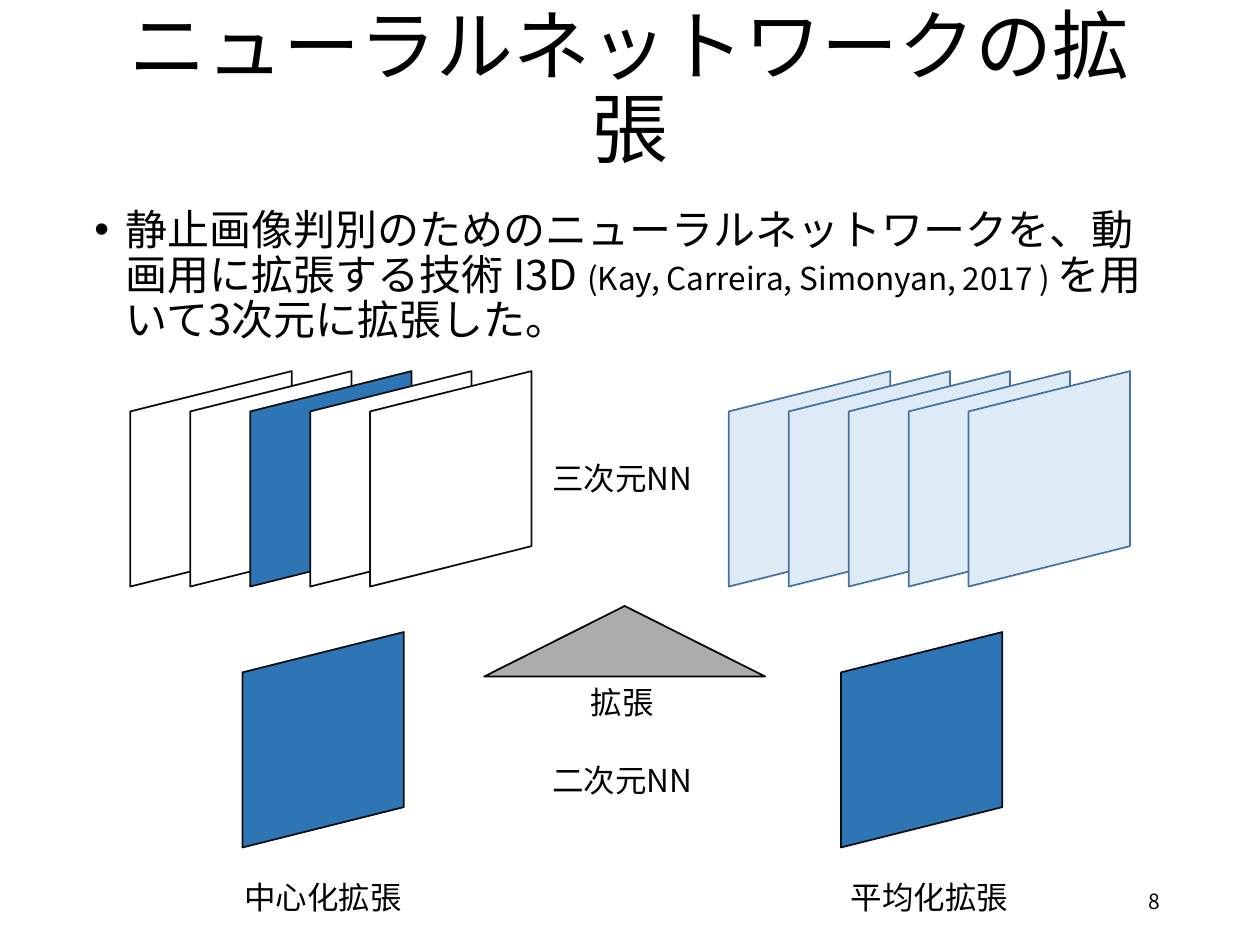
import pptx
import pptx.util
import pptx.dml.color
import pptx.enum.shapes
import pptx.enum.text
import pptx.oxml.ns
from lxml import etree

Pt = pptx.util.Pt
SHAPE = pptx.enum.shapes.MSO_SHAPE
ALIGN = pptx.enum.text.PP_ALIGN
ANCHOR = pptx.enum.text.MSO_ANCHOR
qn = pptx.oxml.ns.qn

FONT = "Noto Sans CJK JP"
COLORS = {"black": "000000", "ink": "0D0D0D", "white": "FFFFFF", "blue": "2E75B6",
          "pale": "DEEBF7", "pale_line": "43739E", "gray": "AFABAB"}

TITLE = "ニューラルネットワークの拡張"
BODY = [
    ("静止画像判別のためのニューラルネットワークを、動画用に拡張する技術 I3D ", 24),
    ("(Kay, Carreira, Simonyan, 2017 ) ", 18),
    ("を用いて3次元に拡張した。", 24),
]
# text, left, top, width
LABELS = [
    ("中心化拡張", 78.5, 498.2, 212.4),
    ("平均化拡張", 424.8, 498.2, 212.4),
    ("二次元NN", 299.5, 431.3, 112.3),
    ("三次元NN", 299.5, 258.5, 112.3),
    ("拡張", 299.5, 386.6, 112.3),
]
# left of the first frame, frame fills from back to front, frame line
STACKS = [
    (59, ["white", "white", "blue", "white", "white"], "ink"),
    (401, ["pale"] * 5, "pale_line"),
]
FRAME_W, FRAME_H = 123.1, 92.2
FRAME_STEP = 34.25
STACK_TOP, KERNEL_TOP = 227.5, 376.6
KERNEL_OFFSET = 64.1


def rgb(name):
    return pptx.dml.color.RGBColor.from_string(COLORS[name])


def place(sp, left, top, width, height):
    sp.left, sp.top, sp.width, sp.height = map(Pt, (left, top, width, height))


def write(sp, runs, align, anchor=ANCHOR.TOP):
    tf = sp.text_frame
    tf.word_wrap = True
    tf.auto_size = pptx.enum.text.MSO_AUTO_SIZE.NONE
    tf.vertical_anchor = anchor
    p = tf.paragraphs[0]
    p.alignment = align
    for text, size in runs:
        r = p.add_run()
        r.text = text
        r.font.size = Pt(size)
        r.font.name = FONT
        r.font.color.rgb = rgb("black")
        etree.SubElement(r.font._element, qn("a:ea"), typeface=FONT)
    return p


def add_text(slide, box, runs, align, anchor=ANCHOR.TOP):
    return write(slide.shapes.add_textbox(*map(Pt, box)), runs, align, anchor)


def add_bullet(p, indent):
    pPr = p._p.get_or_add_pPr()
    pPr.set("marL", str(Pt(indent)))
    pPr.set("indent", str(-Pt(indent)))
    etree.SubElement(pPr, qn("a:buFont"), typeface="Arial")
    etree.SubElement(pPr, qn("a:buChar"), char="•")


def add_shape(slide, kind, box, fill, line):
    sp = slide.shapes.add_shape(kind, *map(Pt, box))
    sp.shadow.inherit = False
    sp.fill.solid()
    sp.fill.fore_color.rgb = rgb(fill)
    sp.line.color.rgb = rgb(line)
    sp.line.width = Pt(1)
    return sp


def add_frame(slide, left, top, fill, line):
    """Add a parallelogram turned upright, with its right side raised."""
    sp = add_shape(slide, SHAPE.PARALLELOGRAM, (left, top, FRAME_W, FRAME_H), fill, line)
    sp.rotation = 270
    sp.element.spPr.find(qn("a:xfrm")).set("flipH", "1")


def main():
    prs = pptx.Presentation()
    prs.slide_width, prs.slide_height = Pt(720), Pt(540)
    slide = prs.slides.add_slide(prs.slide_layouts[5])

    title = slide.shapes.title
    place(title, 49.7, 0, 620.6, 104.4)
    p = write(title, [(TITLE, 44)], ALIGN.CENTER, ANCHOR.MIDDLE)
    p.line_spacing = 0.9

    p = add_text(slide, (46.8, 115.9, 620.6, 371.5), BODY, ALIGN.LEFT)
    p.line_spacing = 0.9
    p.space_before = Pt(10)
    add_bullet(p, 18)

    for left, fills, line in STACKS:
        for i, fill in enumerate(fills):
            add_frame(slide, left + i * FRAME_STEP, STACK_TOP, fill, line)
        add_frame(slide, left + KERNEL_OFFSET, KERNEL_TOP, "blue", "ink")

    add_shape(slide, SHAPE.ISOSCELES_TRIANGLE, (276.7, 346.3, 160.6, 40.3), "gray", "black")

    for text, left, top, width in LABELS:
        add_text(slide, (left, top, width, 29), [(text, 18)], ALIGN.CENTER)
    add_text(slide, (508.3, 500.4, 162, 28.8), [("8", 12)], ALIGN.RIGHT, ANCHOR.MIDDLE)

    prs.save("out.pptx")


if __name__ == "__main__":
    main()
